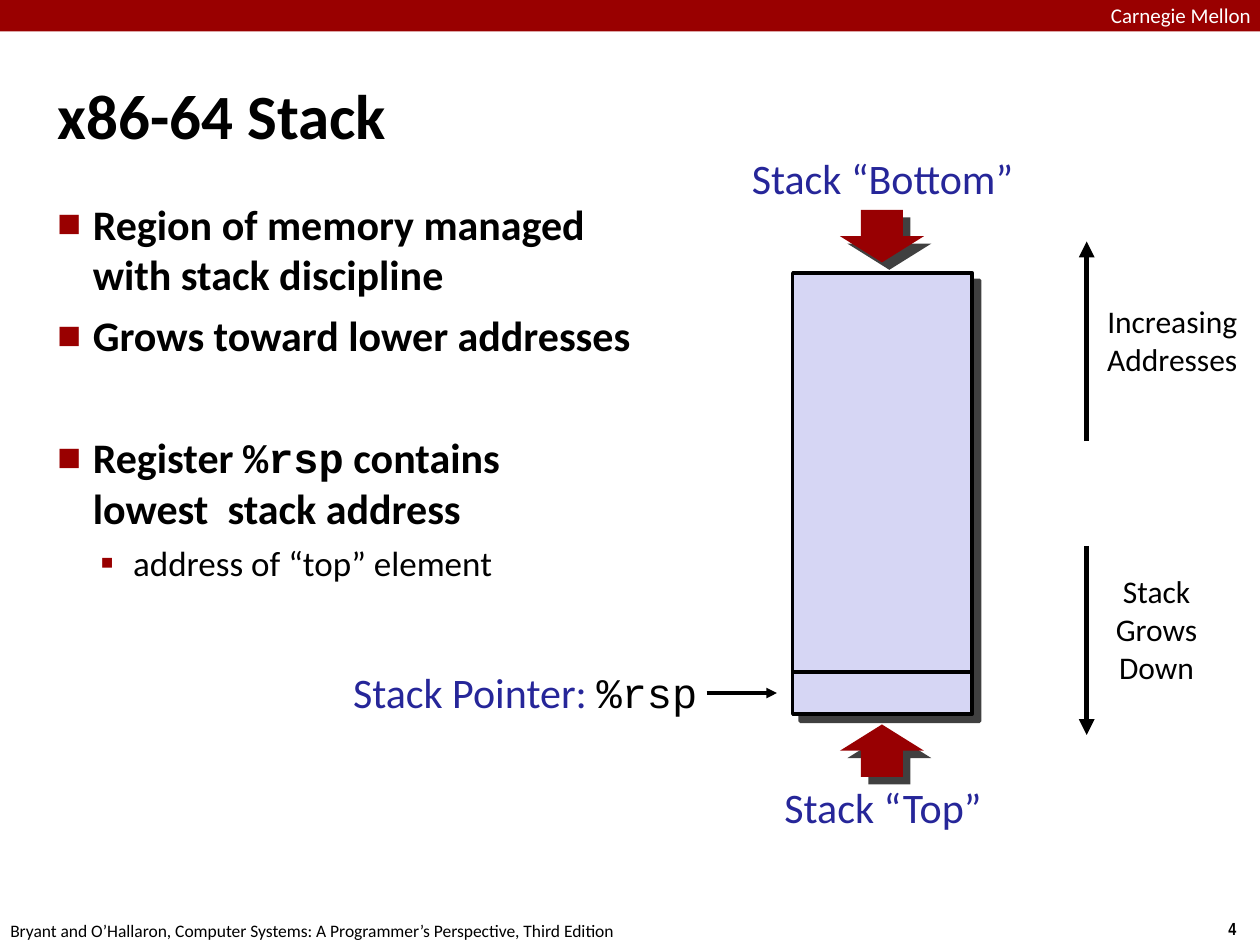
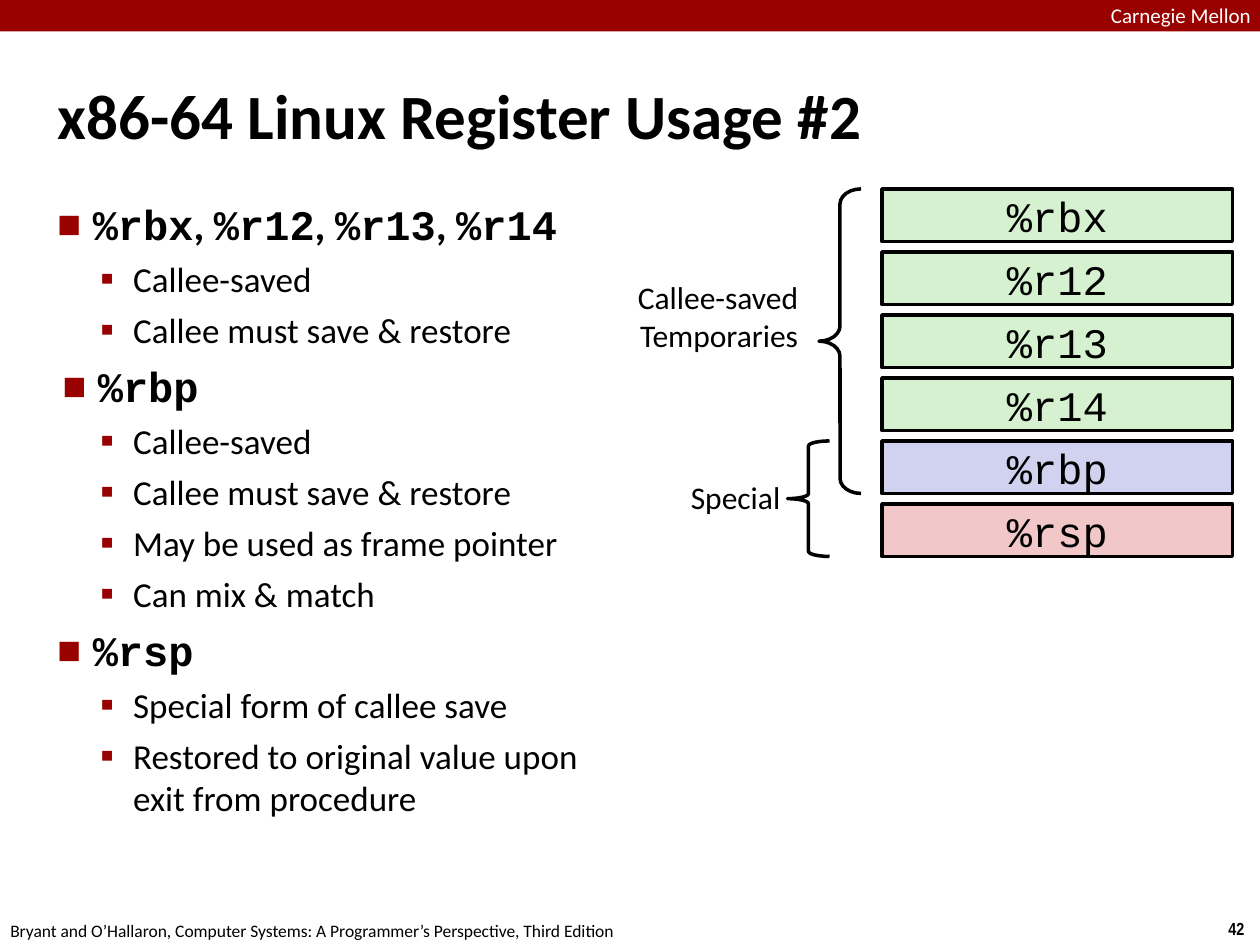
"""Build two slides on the x86-64 stack and its register usage."""
from lxml import etree
from pptx import Presentation
from pptx.dml.color import RGBColor
from pptx.enum.shapes import MSO_CONNECTOR, MSO_SHAPE
from pptx.enum.text import MSO_ANCHOR, PP_ALIGN
from pptx.oxml import parse_xml
from pptx.oxml.ns import nsdecls, qn
from pptx.util import Inches, Pt

LEFT, CENTER, RIGHT = PP_ALIGN.LEFT, PP_ALIGN.CENTER, PP_ALIGN.RIGHT
TOP, MIDDLE = MSO_ANCHOR.TOP, MSO_ANCHOR.MIDDLE
RECTANGLE, LEFT_BRACE = MSO_SHAPE.RECTANGLE, MSO_SHAPE.LEFT_BRACE
DOWN_ARROW, UP_ARROW = MSO_SHAPE.DOWN_ARROW, MSO_SHAPE.UP_ARROW
STRAIGHT = MSO_CONNECTOR.STRAIGHT

COLORS = {
    "band": "990000", "arrow": "980002", "label": "262699",
    "ink": "000000", "paper": "FFFFFF", "stack": "D6D6F4",
    "saved": "D5F1CF", "frame": "D1D1F0", "pointer": "F1C7C7",
}
RGB = {name: RGBColor.from_string(value) for name, value in COLORS.items()}
BODY_FONT, CODE_FONT, NUMBER_FONT = "Calibri", "Courier New", "Arial Narrow"

POINT = {"indent": 0.28, "hang": 0.28, "before": 6, "mark": "■", "scale": 60, "size": 24, "bold": True}
DETAIL = {"indent": 0.6, "hang": 0.26, "before": 5, "mark": "▪", "scale": 110, "size": 20, "bold": False}
SPACED_POINT = {**POINT, "before": 41}
SHIFTED_POINT = {**POINT, "indent": 0.32}

prs = Presentation()
prs.slide_width, prs.slide_height = Inches(10), Inches(7.5)
COLUMNS = 120
CELL = prs.slide_width / COLUMNS


def cells(*counts):
    """Turn counts of square grid cells into lengths."""
    return [round(count * CELL) for count in counts]


def write(frame, *lines, size=18, color="ink", bold=False, font=BODY_FONT, align=LEFT,
          anchor=TOP, margin=0.04, wrap=False, bullets=()):
    """Fill a text frame; parts between backticks are code."""
    frame.word_wrap, frame.vertical_anchor = wrap, anchor
    frame.margin_left = frame.margin_right = Inches(margin)
    frame.margin_top = frame.margin_bottom = Inches(margin)
    for index, line in enumerate(lines):
        paragraph = frame.add_paragraph() if index else frame.paragraphs[0]
        paragraph.alignment = align
        style = bullets[index] if bullets else {"size": size, "bold": bold}
        if bullets:
            if index:
                paragraph.space_before = Pt(style["before"])
            props = paragraph._p.get_or_add_pPr()
            props.set("marL", str(Inches(style["indent"])))
            props.set("indent", str(-Inches(style["hang"])))
            tint = etree.SubElement(props, qn("a:buClr"))
            etree.SubElement(tint, qn("a:srgbClr"), val=COLORS["band"])
            etree.SubElement(props, qn("a:buSzPct"), val=str(style["scale"] * 1000))
            etree.SubElement(props, qn("a:buFont"), typeface=BODY_FONT)
            etree.SubElement(props, qn("a:buChar"), char=style["mark"])
        for part, words in enumerate(line.split("`")):
            is_code = part % 2 == 1
            for row, piece in enumerate(words.split("\n")):
                if row:
                    paragraph.add_line_break()
                if piece:
                    run = paragraph.add_run()
                    run.text = piece
                    run.font.name = CODE_FONT if is_code else font
                    run.font.size = Pt(style["size"])
                    run.font.bold = style["bold"]
                    run.font.color.rgb = RGB["ink" if is_code else color]


stack_points = [
    (POINT, "Region of memory managed with stack discipline"),
    (POINT, "Grows toward lower addresses"),
    (SPACED_POINT, "Register `%rsp` contains \nlowest  stack address"),
    (DETAIL, "address of “top” element"),
]
register_points = [
    (POINT, "`%rbx`, `%r12`, `%r13`, `%r14`"),
    (DETAIL, "Callee-saved"),
    (DETAIL, "Callee must save & restore"),
    (SHIFTED_POINT, "`%rbp`"),
    (DETAIL, "Callee-saved"),
    (DETAIL, "Callee must save & restore"),
    (DETAIL, "May be used as frame pointer"),
    (DETAIL, "Can mix & match"),
    (POINT, "`%rsp`"),
    (DETAIL, "Special form of callee save"),
    (DETAIL, "Restored to original value upon exit from procedure"),
]

slides = []
for number, heading, heading_width, points, body_width, body_height in [
    ("4", "x86-64 Stack", 110, stack_points, 58.6, 71.3),
    ("42", "x86-64 Linux Register Usage #2", 79, register_points, 53.3, 57.7),
]:
    slide = prs.slides.add_slide(prs.slide_layouts[5])
    slides.append(slide)
    band = slide.shapes.add_shape(RECTANGLE, *cells(0, 0, COLUMNS, 3))
    band.shadow.inherit = False
    band.fill.solid()
    band.fill.fore_color.rgb = RGB["band"]
    band.line.fill.background()

    title = slide.shapes.title
    title.left, title.top, title.width, title.height = cells(5, 3.4, heading_width, 15)
    write(title.text_frame, heading, size=36, bold=True, anchor=MIDDLE, wrap=True)

    body = slide.shapes.add_textbox(*cells(5, 18.4, body_width, body_height))
    styles, lines = zip(*points)
    write(body.text_frame, *lines, bullets=styles, wrap=True)

    for words, place, look in [
        ("Carnegie Mellon", (105.8, 0.25, 14, 2.3), {"size": 12, "color": "paper", "margin": 0}),
        ("Bryant and O’Hallaron, Computer Systems: A Programmer’s Perspective, Third Edition",
         (0.5, 87.1, 60, 2.9), {"size": 10}),
        (number, (116.5, 86.9, 3.5, 3), {"size": 10, "bold": True, "font": NUMBER_FONT}),
    ]:
        furniture = slide.shapes.add_textbox(*cells(*place))
        write(furniture.text_frame, words, **look)

stack_slide, register_slide = slides

for outline, place, fill in [
    (RECTANGLE, (75.5, 26, 17.1, 42), "stack"),
    (DOWN_ARROW, (80, 20, 8, 5), "arrow"),
    (UP_ARROW, (80, 69, 8, 5), "arrow"),
]:
    part = stack_slide.shapes.add_shape(outline, *cells(*place))
    part.fill.solid()
    part.fill.fore_color.rgb = RGB[fill]
    if fill == "stack":
        part.line.color.rgb = RGB["ink"]
        part.line.width = Pt(2)
    else:
        part.line.fill.background()
    part._element.spPr.append(parse_xml(
        f'<a:effectLst {nsdecls("a")}><a:outerShdw dist="{Pt(6)}" dir="2700000" algn="ctr" '
        f'rotWithShape="0"><a:srgbClr val="{COLORS["ink"]}"><a:alpha val="75000"/></a:srgbClr>'
        '</a:outerShdw></a:effectLst>'))

for ends, weight, has_head in [
    ((67.3, 66, 74, 66), 2, True),
    ((75.5, 64, 92.5, 64), 2, False),
    ((103.5, 52, 103.5, 70), 3, True),
    ((103.5, 42, 103.5, 23), 3, True),
]:
    stroke = stack_slide.shapes.add_connector(STRAIGHT, *cells(*ends))
    stroke.line.color.rgb = RGB["ink"]
    stroke.line.width = Pt(weight)
    if has_head:
        etree.SubElement(stroke.line._get_or_add_ln(), qn("a:tailEnd"), type="triangle")
    etree.SubElement(stroke._element.spPr, qn("a:effectLst"))

BLUE_LABEL = {"size": 24, "color": "label", "align": CENTER}
for target, lines, place, look in [
    (stack_slide, ["Stack “Bottom”"], (70.7, 14, 26.7, 5.9), BLUE_LABEL),
    (stack_slide, ["Stack “Top”"], (73.9, 73.9, 20.4, 5.9), BLUE_LABEL),
    (stack_slide, ["Stack Pointer: `%rsp`"], (32.3, 63, 34.6, 6), {**BLUE_LABEL, "align": RIGHT}),
    (stack_slide, ["Increasing", "Addresses"], (104.9, 28.3, 13.5, 8.3), {"align": CENTER}),
    (stack_slide, ["Stack Grows", "Down"], (104.8, 54, 10.7, 12), {"align": CENTER, "wrap": True}),
    (register_slide, ["Callee-saved", "Temporaries"], (60, 26, 16.5, 8.3), {"align": RIGHT}),
    (register_slide, ["Special"], (64.8, 45, 10, 4.7), {"align": RIGHT}),
]:
    label = target.shapes.add_textbox(*cells(*place))
    write(label.text_frame, *lines, **look)

REGISTER_TOP, REGISTER_STEP, REGISTER_HEIGHT = 18, 6, 5
registers = [("%rbx", "saved"), ("%r12", "saved"), ("%r13", "saved"),
             ("%r14", "saved"), ("%rbp", "frame"), ("%rsp", "pointer")]
for row, (register, fill) in enumerate(registers):
    top = REGISTER_TOP + row * REGISTER_STEP
    box = register_slide.shapes.add_shape(RECTANGLE, *cells(84, top, 33.4, REGISTER_HEIGHT))
    box.shadow.inherit = False
    box.fill.solid()
    box.fill.fore_color.rgb = RGB[fill]
    box.line.color.rgb = RGB["ink"]
    box.line.width = Pt(2)
    write(box.text_frame, f"`{register}`", size=24, align=CENTER, anchor=MIDDLE, margin=0)

for left, first, last, curl in [(78, 0, 4, 0.36), (75, 4, 5, 0.12)]:
    top = REGISTER_TOP + first * REGISTER_STEP
    height = (last - first) * REGISTER_STEP + REGISTER_HEIGHT
    brace = register_slide.shapes.add_shape(LEFT_BRACE, *cells(left, top, 4, height))
    brace.adjustments[0] = curl
    brace.shadow.inherit = False
    brace.fill.background()
    brace.line.color.rgb = RGB["ink"]
    brace.line.width = Pt(2)

prs.save("out.pptx")
